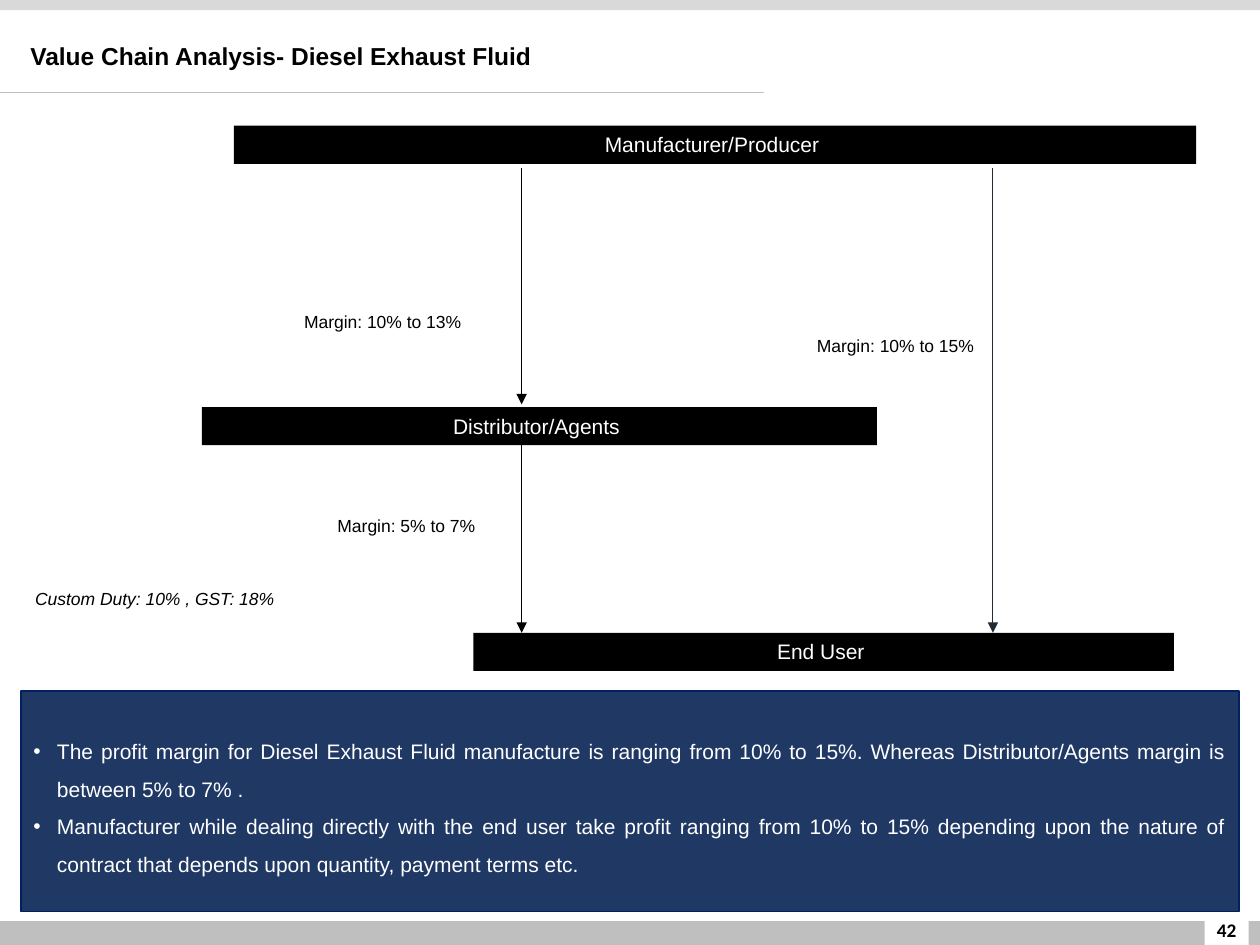
"""Build the value chain slide for diesel exhaust fluid."""
from dataclasses import dataclass

from lxml.etree import SubElement
from pptx import Presentation
from pptx.dml.color import RGBColor
from pptx.enum.shapes import MSO_CONNECTOR as Connector, MSO_SHAPE as Preset
from pptx.enum.text import MSO_ANCHOR as Anchor, MSO_AUTO_SIZE as AutoSize, PP_ALIGN as Align
from pptx.oxml.ns import qn
from pptx.util import Pt

BLACK, WHITE, GREY = "000000", "FFFFFF", "BFBFBF"
BAR_HEIGHT = 21.8
CHAIN_X, DIRECT_X = 298.1, 567.4


@dataclass
class Box:
    left: float
    top: float
    width: float
    height: float


@dataclass
class Label:
    text: str
    box: Box
    align: Align = Align.CENTER
    anchor: Anchor = Anchor.TOP
    size: float = 10
    font: str = "Arial"
    bold: bool = False
    italic: bool = False


@dataclass
class Bar:
    text: str
    left: float
    top: float
    width: float


@dataclass
class Line:
    start: tuple[float, float]
    end: tuple[float, float]
    color: str = BLACK
    arrow: bool = True


FOOTER_AND_HEADER = [
    (Box(-2.9, 526.3, 723.6, 13.7), GREY),
    (Box(0, 0, 721.4, 5.8), "D9D9D9"),
    (Box(688.3, 513.4, 25.2, 27.4), WHITE),
]
BARS = [
    Bar("Distributor/Agents ", 115.4, 232.6, 385.8),
    Bar("End User ", 270.6, 361.6, 400.3),
    Bar("Manufacturer/Producer ", 133.7, 71.8, 549.8),
]
LINES = [
    Line((0, 53), (436.7, 53), GREY, False),
    Line((DIRECT_X, 96), (DIRECT_X, 268.6), "222A35", False),
    Line((DIRECT_X, 268.6), (DIRECT_X, 361.6), "222A35"),
    Line((CHAIN_X, 254.4), (CHAIN_X, 361.6)),
    Line((CHAIN_X, 96), (CHAIN_X, 231.1)),
]
LABELS = [
    Label("42", Box(683.3, 517, 35.3, 28.8), anchor=Anchor.MIDDLE, size=11, font="Calibri", bold=True),
    Label("Margin: 10% to 15%", Box(435.6, 187.9, 151.9, 31.7)),
    Label("Margin: 10% to 13%", Box(142.6, 174.2, 151.9, 31.7)),
    Label("Margin: 5% to 7%", Box(156.2, 290.9, 151.9, 31.7)),
    Label("Custom Duty: 10% , GST: 18%", Box(13, 332.6, 185, 19.4), Align.LEFT, italic=True),
]
FINDINGS = [
    "The profit margin for Diesel Exhaust Fluid manufacture is ranging from 10% to 15%. "
    "Whereas Distributor/Agents margin is between 5% to 7% .",
    "Manufacturer while dealing directly with the end user take profit ranging from 10% to 15% "
    "depending upon the nature of contract that depends upon quantity, payment terms etc.",
]


def rgb(value: str) -> RGBColor:
    return RGBColor.from_string(value)


def points(box: Box) -> tuple[Pt, Pt, Pt, Pt]:
    return Pt(box.left), Pt(box.top), Pt(box.width), Pt(box.height)


def add_run(paragraph, text: str, size: float, color: str, font: str = "Arial",
            bold: bool = False, italic: bool = False) -> None:
    run = paragraph.add_run()
    run.text = text
    run.font.name, run.font.size = font, Pt(size)
    run.font.bold, run.font.italic = bold, italic
    run.font.color.rgb = rgb(color)


def add_rectangle(slide, box: Box, fill: str):
    shape = slide.shapes.add_shape(Preset.RECTANGLE, *points(box))
    shape.shadow.inherit = False
    shape.fill.solid()
    shape.fill.fore_color.rgb = rgb(fill)
    shape.line.fill.background()
    shape.text_frame.word_wrap = True
    return shape


def add_bar(slide, bar: Bar) -> None:
    shape = add_rectangle(slide, Box(bar.left, bar.top, bar.width, BAR_HEIGHT), BLACK)
    shape.text_frame.vertical_anchor = Anchor.TOP
    paragraph = shape.text_frame.paragraphs[0]
    paragraph.alignment = Align.CENTER
    add_run(paragraph, bar.text, 12, WHITE)


def add_line(slide, line: Line) -> None:
    ends = [Pt(value) for value in (*line.start, *line.end)]
    connector = slide.shapes.add_connector(Connector.STRAIGHT, *ends)
    connector.line.color.rgb = rgb(line.color)
    connector.line.width = Pt(0.5)
    if line.arrow:
        SubElement(connector.line._get_or_add_ln(), qn("a:tailEnd"), type="triangle")
    SubElement(connector._element.spPr, qn("a:effectLst"))


def add_label(slide, label: Label) -> None:
    frame = slide.shapes.add_textbox(*points(label.box)).text_frame
    frame.word_wrap = True
    frame.vertical_anchor = label.anchor
    paragraph = frame.paragraphs[0]
    paragraph.alignment = label.align
    add_run(paragraph, label.text, label.size, BLACK, label.font, label.bold, label.italic)


def set_title(slide, text: str, box: Box) -> None:
    title = slide.shapes.title
    title.left, title.top, title.width, title.height = points(box)
    frame = title.text_frame
    frame.auto_size = AutoSize.NONE
    frame.vertical_anchor = Anchor.MIDDLE
    paragraph = frame.paragraphs[0]
    paragraph.alignment = Align.LEFT
    paragraph.line_spacing = 0.9
    add_run(paragraph, text, 14, BLACK, bold=True)


def add_findings(slide, findings: list[str], box: Box) -> None:
    shape = add_rectangle(slide, box, "203864")
    shape.line.color.rgb = rgb("002060")
    shape.line.width = Pt(1)
    frame = shape.text_frame
    frame.vertical_anchor = Anchor.MIDDLE
    for index, text in enumerate(findings):
        paragraph = frame.add_paragraph() if index else frame.paragraphs[0]
        properties = paragraph._p.get_or_add_pPr()
        properties.set("marL", str(Pt(13.5)))
        properties.set("indent", str(Pt(-13.5)))
        SubElement(properties, qn("a:buFont"), typeface="Arial")
        SubElement(properties, qn("a:buChar"), char="•")
        paragraph.alignment = Align.JUSTIFY
        paragraph.line_spacing = 1.5
        add_run(paragraph, text, 12, WHITE)


def main() -> None:
    presentation = Presentation()
    presentation.slide_width, presentation.slide_height = Pt(720), Pt(540)
    slide = presentation.slides.add_slide(presentation.slide_layouts[5])
    set_title(slide, "Value Chain Analysis- Diesel Exhaust Fluid", Box(10.1, 15.1, 583.9, 36))
    for box, fill in FOOTER_AND_HEADER:
        add_rectangle(slide, box, fill)
    for bar in BARS:
        add_bar(slide, bar)
    for line in LINES:
        add_line(slide, line)
    for label in LABELS:
        add_label(slide, label)
    add_findings(slide, FINDINGS, Box(12, 394.9, 696, 126))
    presentation.save("out.pptx")


if __name__ == "__main__":
    main()
